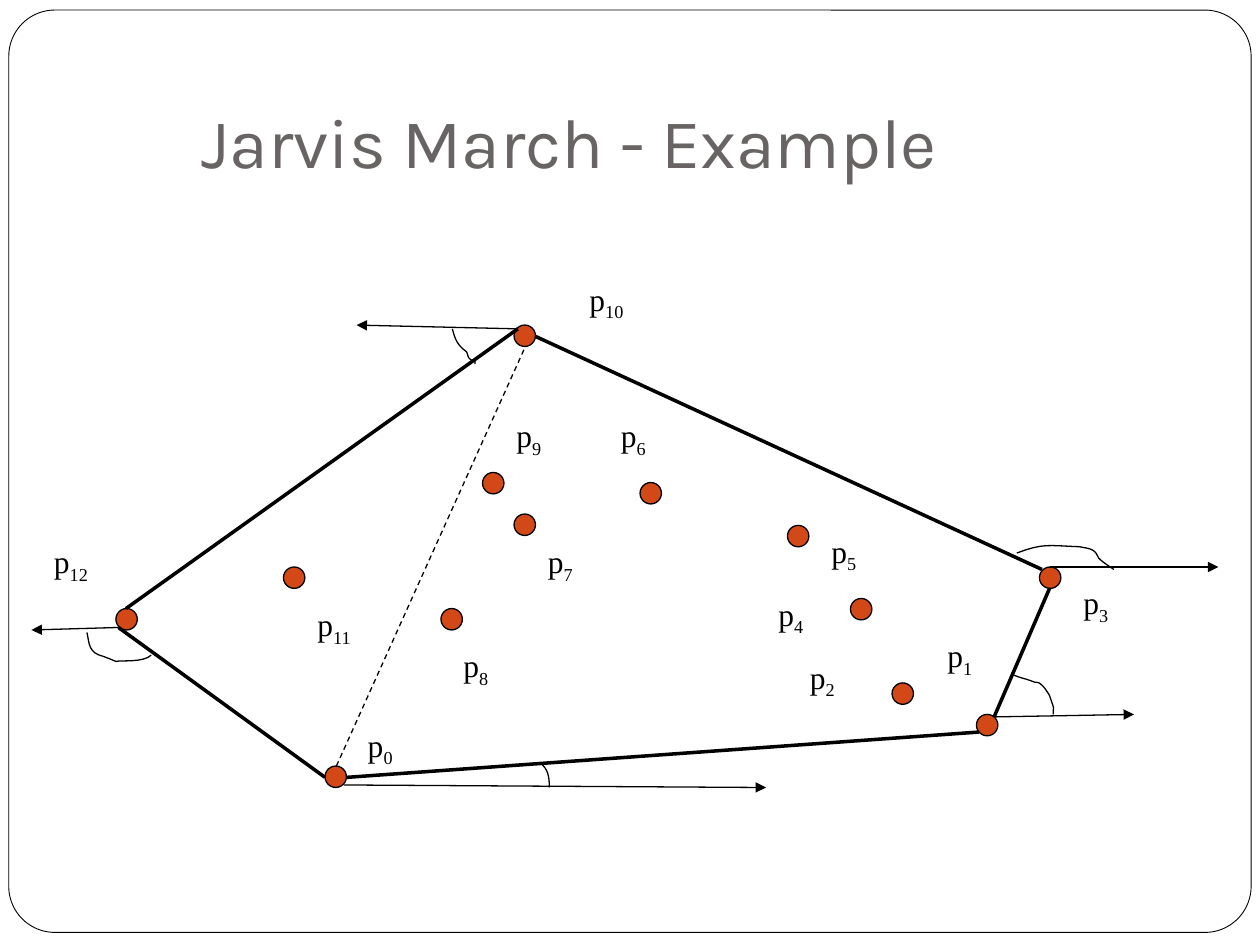
"""Build the Jarvis March example slide: points, hull edges, rays and angle arcs."""
from lxml import etree
from pptx import Presentation
from pptx.dml.color import RGBColor
from pptx.enum.dml import MSO_LINE
from pptx.enum.shapes import MSO_CONNECTOR, MSO_SHAPE
from pptx.enum.text import MSO_ANCHOR, MSO_AUTO_SIZE
from pptx.oxml.ns import qn
from pptx.util import Inches, Pt

ROUND_RECT = MSO_SHAPE.ROUNDED_RECTANGLE
DOT = MSO_SHAPE.FLOWCHART_CONNECTOR
STRAIGHT = MSO_CONNECTOR.STRAIGHT
DASH = MSO_LINE.DASH
BOTTOM = MSO_ANCHOR.BOTTOM
FIT_SHAPE = MSO_AUTO_SIZE.SHAPE_TO_FIT_TEXT

BLACK = RGBColor(0x00, 0x00, 0x00)
WHITE = RGBColor(0xFF, 0xFF, 0xFF)
GRAY = RGBColor(0x69, 0x64, 0x64)
ORANGE = RGBColor(0xD3, 0x48, 0x17)

DOT_SIZE = 0.17
THIN, THICK = 0.75, 2
CURVE_STEPS = 8

DOTS = [
    (2.58, 6.08), (2.25, 4.5), (3.83, 3.75), (4.08, 4.08), (3.5, 4.83),
    (5.08, 3.83), (6.25, 4.17), (6.75, 4.75), (7.75, 5.67), (0.92, 4.83),
    (4.08, 2.58), (8.25, 4.5), (7.08, 5.42),
]
LABELS = [
    (2.82, 5.71), (7.42, 5), (6.33, 5.17), (8.5, 4.58), (6.08, 4.67),
    (6.5, 4.17), (4.83, 3.25), (4.25, 4.25), (3.58, 5.08), (4, 3.25),
    (4.58, 2.17), (2.42, 4.75), (0.33, 4.25),
]
EDGES = [
    ((2.75, 6.17), (7.77, 5.81)),
    ((7.89, 5.69), (8.33, 4.67)),
    ((8.27, 4.52), (4.25, 2.67)),
    ((4.11, 2.61), (1, 4.83)),
    ((0.94, 4.98), (2.58, 6.17)),
]
RAYS = [
    ((2.73, 6.23), (6.08, 6.25)),
    ((7.89, 5.69), (9, 5.67)),
    ((8.33, 4.5), (9.67, 4.5)),
    ((4.11, 2.61), (2.83, 2.58)),
    ((0.94, 4.98), (0.25, 5)),
]
ARCS = [
    [(4.28, 6.05), (4.35, 6.1), (4.36, 6.16), (4.36, 6.25)],
    [(8.05, 5.36), (8.1, 5.38), (8.15, 5.39), (8.2, 5.41),
     (8.22, 5.42), (8.24, 5.41), (8.26, 5.43),
     (8.29, 5.45), (8.33, 5.52), (8.33, 5.52),
     (8.37, 5.64), (8.36, 5.59), (8.36, 5.67)],
    [(8.07, 4.39), (8.28, 4.31), (8.32, 4.33), (8.57, 4.34),
     (8.61, 4.35), (8.66, 4.35), (8.69, 4.38),
     (8.7, 4.39), (8.71, 4.41), (8.72, 4.43),
     (8.76, 4.47), (8.8, 4.49), (8.84, 4.52)],
    [(3.59, 2.61), (3.61, 2.69), (3.63, 2.74), (3.7, 2.79),
     (3.71, 2.8), (3.71, 2.82), (3.72, 2.84),
     (3.78, 2.9), (3.77, 2.84), (3.77, 2.89)],
    [(0.69, 5.02), (0.71, 5.11), (0.7, 5.18), (0.82, 5.21),
     (0.85, 5.22), (0.92, 5.25), (0.92, 5.25),
     (0.96, 5.24), (1.14, 5.26), (1.2, 5.2)],
]


def set_line(shape, width):
    """Give a shape a black outline."""
    shape.line.color.rgb = BLACK
    shape.line.width = Pt(width)


def add_preset(slide, kind, box, fill, width):
    """Add a filled and outlined preset shape."""
    s = slide.shapes.add_shape(kind, *map(Inches, box))
    s.shadow.inherit = False
    s.fill.solid()
    s.fill.fore_color.rgb = fill
    set_line(s, width)
    return s


def add_run(p, text, font, size, color):
    """Append a formatted run to a paragraph."""
    r = p.add_run()
    r.text = text
    r.font.name = font
    r.font.size = Pt(size)
    r.font.color.rgb = color
    return r


def add_title(slide, text):
    """Add the bottom-anchored slide title."""
    tf = slide.shapes.add_textbox(*map(Inches, (1.5, 0.3, 8.5, 1.25))).text_frame
    tf.word_wrap = True
    tf.vertical_anchor = BOTTOM
    tf.margin_bottom = Inches(0.1)
    add_run(tf.paragraphs[0], text, "Karla", 40, GRAY)


def add_label(slide, index, left, top):
    """Add a point name with its index as a subscript."""
    width = 0.48 if index < 10 else 0.59
    tf = slide.shapes.add_textbox(*map(Inches, (left, top, width, 0.5))).text_frame
    tf.word_wrap = False
    tf.auto_size = FIT_SHAPE
    p = tf.paragraphs[0]
    add_run(p, "p", "Times New Roman", 18, BLACK)
    r = add_run(p, str(index), "Times New Roman", 18, BLACK)
    r.font._element.set("baseline", "-25000")


def add_segment(slide, start, end, width, arrow=False):
    """Add a straight line, with an arrowhead at its end if asked."""
    s = slide.shapes.add_connector(STRAIGHT, *map(Inches, start + end))
    set_line(s, width)
    if arrow:
        etree.SubElement(s.line._get_or_add_ln(), qn("a:tailEnd"), type="triangle")
    etree.SubElement(s._element.spPr, qn("a:effectLst"))
    return s


def bezier_point(controls, t):
    """Return the point at t on a cubic Bezier curve."""
    weights = ((1 - t) ** 3, 3 * t * (1 - t) ** 2, 3 * t ** 2 * (1 - t), t ** 3)
    return tuple(Inches(sum(w * c[axis] for w, c in zip(weights, controls)))
                 for axis in (0, 1))


def add_arc(slide, controls):
    """Add an open angle mark along a chain of cubic Bezier curves."""
    points = [bezier_point(controls[i:i + 4], step / CURVE_STEPS)
              for i in range(0, len(controls) - 1, 3)
              for step in range(1, CURVE_STEPS + 1)]
    builder = slide.shapes.build_freeform(*map(Inches, controls[0]))
    builder.add_line_segments(points, close=False)
    s = builder.convert_to_shape()
    s.shadow.inherit = False
    s.fill.background()
    set_line(s, THIN)


def main():
    """Build and save the slide."""
    prs = Presentation()
    prs.slide_width, prs.slide_height = Inches(10), Inches(7.5)
    slide = prs.slides.add_slide(prs.slide_layouts[6])
    frame = add_preset(slide, ROUND_RECT, (0.07, 0.08, 9.86, 7.32), WHITE, 0.5)
    frame.adjustments[0] = 0.05
    add_title(slide, "Jarvis March - Example")
    for left, top in DOTS:
        add_preset(slide, DOT, (left, top, DOT_SIZE, DOT_SIZE), ORANGE, THIN)
    for index, (left, top) in enumerate(LABELS):
        add_label(slide, index, left, top)
    add_segment(slide, (2.67, 6.08), (4.17, 2.75), THIN).line.dash_style = DASH
    for edge, ray, arc in zip(EDGES, RAYS, ARCS):
        add_segment(slide, *edge, THICK)
        add_segment(slide, *ray, THIN, arrow=True)
        add_arc(slide, arc)
    prs.save("out.pptx")


if __name__ == "__main__":
    main()
